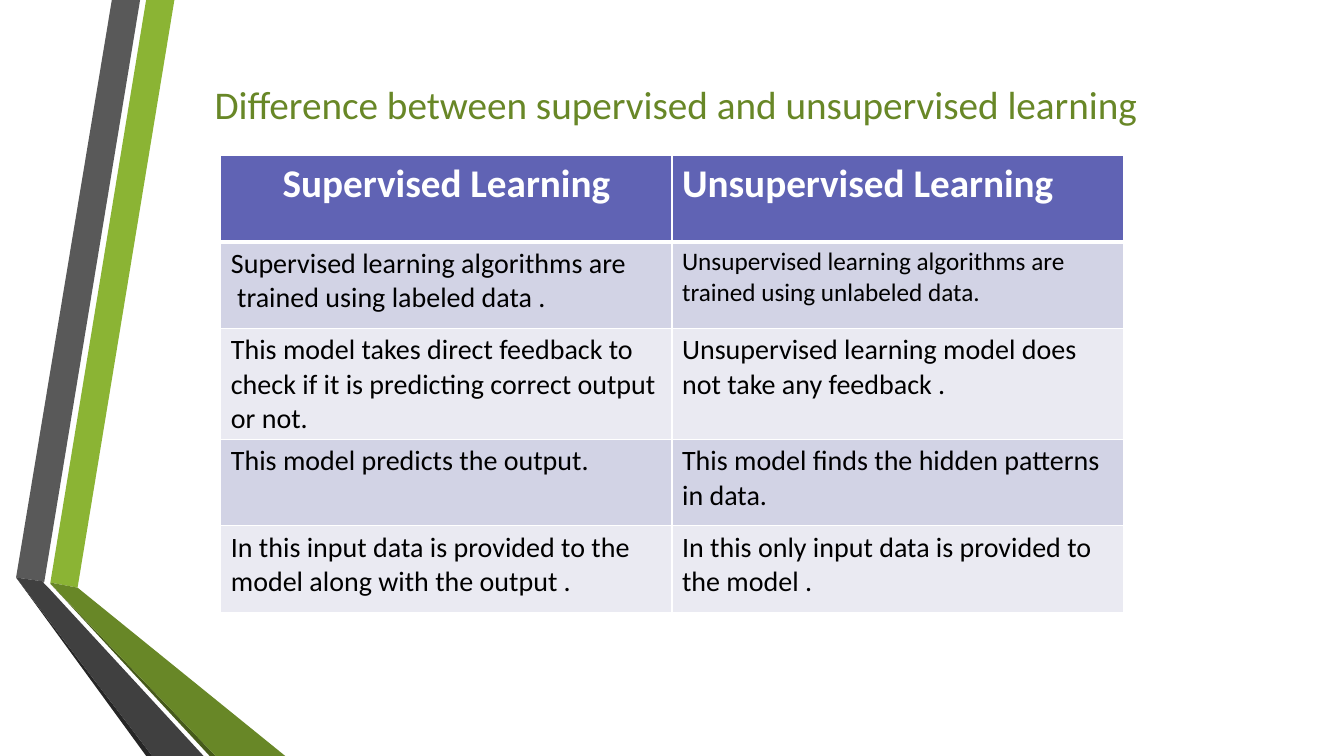
from collections import namedtuple
from dataclasses import dataclass

from lxml import etree
from pptx import Presentation
from pptx.dml.color import RGBColor
from pptx.enum.text import MSO_AUTO_SIZE, PP_ALIGN
from pptx.oxml.ns import qn
from pptx.util import Inches, Pt

CENTER, LEFT = PP_ALIGN.CENTER, PP_ALIGN.LEFT
FIT_SHAPE = MSO_AUTO_SIZE.SHAPE_TO_FIT_TEXT
BLANK_LAYOUT = 6
GRID = Inches(1)
COLUMNS, ROWS = 13.33, 7.5

Box = namedtuple("Box", "left top width height")


@dataclass(frozen=True)
class Theme:
    font: str = "Calibri"
    heading_size: int = 28
    body_size: int = 20
    small_size: int = 18
    green: str = "8BB434"
    deep_green: str = "688727"
    green_shade: str = "465A1A"
    gray: str = "595959"
    deep_gray: str = "404040"
    gray_shade: str = "262626"
    header: str = "6063B4"
    bands: tuple = ("D2D3E5", "EAEAF2")
    white: str = "FFFFFF"
    black: str = "000000"
    rule: int = 1
    header_rule: int = 3


THEME = Theme()

RIBBON_FACETS = [
    (THEME.green, [(0.34, 5.78), (0.61, 5.83), (1.57, 0), (1.29, 0)]),
    (THEME.gray, [(1.23, 0), (0.95, 0), (0, 5.73), (0.28, 5.77)]),
    (THEME.gray_shade, [(0, 5.73), (1.29, 7.5), (1.35, 7.5)]),
    (THEME.green_shade, [(0.34, 5.79), (1.92, 7.5), (1.98, 7.5)]),
    (THEME.deep_green, [(0.34, 5.78), (0.34, 5.79), (1.98, 7.5), (2.67, 7.5), (0.61, 5.83)]),
    (THEME.deep_gray, [(1.86, 7.5), (0.32, 5.83), (0.27, 5.78), (0.28, 5.77), (0, 5.73), (1.35, 7.5)]),
]

TITLE = "Difference between supervised and unsupervised learning"
HEADINGS = [("Supervised Learning", CENTER), ("Unsupervised Learning", LEFT)]
COMPARISONS = [
    ("Supervised learning algorithms are\n trained using labeled data .",
     "Unsupervised learning algorithms are trained using unlabeled data."),
    ("This model takes direct feedback to check if it is predicting correct output or not.",
     "Unsupervised learning model does not take any feedback ."),
    ("This model predicts the output.",
     "This model finds the hidden patterns in data."),
    ("In this input data is provided to the model along with the output .",
     "In this only input data is provided to the model ."),
]
SMALL_TEXT = COMPARISONS[0][1]
ROW_SHARES = [0.86, 0.86, 1.1, 0.86, 0.86]


def grid_box(left, top, width, height):
    return Box(*(round(length * GRID) for length in (left, top, width, height)))


def style_text(frame, size, color, bold=False, align=LEFT):
    for paragraph in frame.paragraphs:
        paragraph.alignment = align
        for run in paragraph.runs:
            run.font.name = THEME.font
            run.font.size = Pt(size)
            run.font.bold = bold
            run.font.color.rgb = RGBColor.from_string(color)


def draw_ribbon(slide, box):
    for color, corners in RIBBON_FACETS:
        outline = [(box.left + x * GRID, box.top + y * GRID) for x, y in corners]
        builder = slide.shapes.build_freeform(*outline[0])
        builder.add_line_segments(outline[1:], close=True)
        facet = builder.convert_to_shape()
        facet.shadow.inherit = False
        facet.fill.solid()
        facet.fill.fore_color.rgb = RGBColor.from_string(color)
        facet.line.fill.background()


def draw_title(slide, box):
    frame = slide.shapes.add_textbox(*box).text_frame
    frame.word_wrap = True
    frame.auto_size = FIT_SHAPE
    frame.text = TITLE
    style_text(frame, THEME.heading_size, THEME.deep_green)


def border_cell(cell, top, bottom):
    properties = cell._tc.get_or_add_tcPr()
    widths = {"lnL": THEME.rule, "lnR": THEME.rule, "lnT": top, "lnB": bottom}
    for position, (edge, width) in enumerate(widths.items()):
        line = etree.Element(qn("a:" + edge), w=str(Pt(width)))
        fill = etree.SubElement(line, qn("a:solidFill"))
        etree.SubElement(fill, qn("a:srgbClr"), val=THEME.white)
        properties.insert(position, line)


def fill_cell(cell, text, fill, size, color, bold=False, align=LEFT,
              top=THEME.rule, bottom=THEME.rule):
    cell.text_frame.text = text
    style_text(cell.text_frame, size, color, bold, align)
    cell.fill.solid()
    cell.fill.fore_color.rgb = RGBColor.from_string(fill)
    border_cell(cell, top, bottom)


def draw_comparison(slide, box):
    table = slide.shapes.add_table(len(ROW_SHARES), len(HEADINGS), *box).table
    for column in table.columns:
        column.width = box.width // len(HEADINGS)
    for row, share in zip(table.rows, ROW_SHARES):
        row.height = round(box.height * share / sum(ROW_SHARES))

    for column, (heading, align) in enumerate(HEADINGS):
        fill_cell(table.cell(0, column), heading, THEME.header, THEME.heading_size,
                  THEME.white, bold=True, align=align, bottom=THEME.header_rule)
    for row, statements in enumerate(COMPARISONS, start=1):
        band = THEME.bands[(row - 1) % len(THEME.bands)]
        top = THEME.header_rule if row == 1 else THEME.rule
        for column, statement in enumerate(statements):
            size = THEME.small_size if statement == SMALL_TEXT else THEME.body_size
            fill_cell(table.cell(row, column), statement, band, size, THEME.black, top=top)


def main():
    deck = Presentation()
    deck.slide_width = round(COLUMNS * GRID)
    deck.slide_height = round(ROWS * GRID)
    slide = deck.slides.add_slide(deck.slide_layouts[BLANK_LAYOUT])
    draw_ribbon(slide, grid_box(0.16, 0, 2.67, ROWS))
    draw_title(slide, grid_box(2.03, 0.75, 10.46, 0.57))
    draw_comparison(slide, grid_box(2.19, 1.54, 8.95, 4.53))
    deck.save("out.pptx")


if __name__ == "__main__":
    main()
